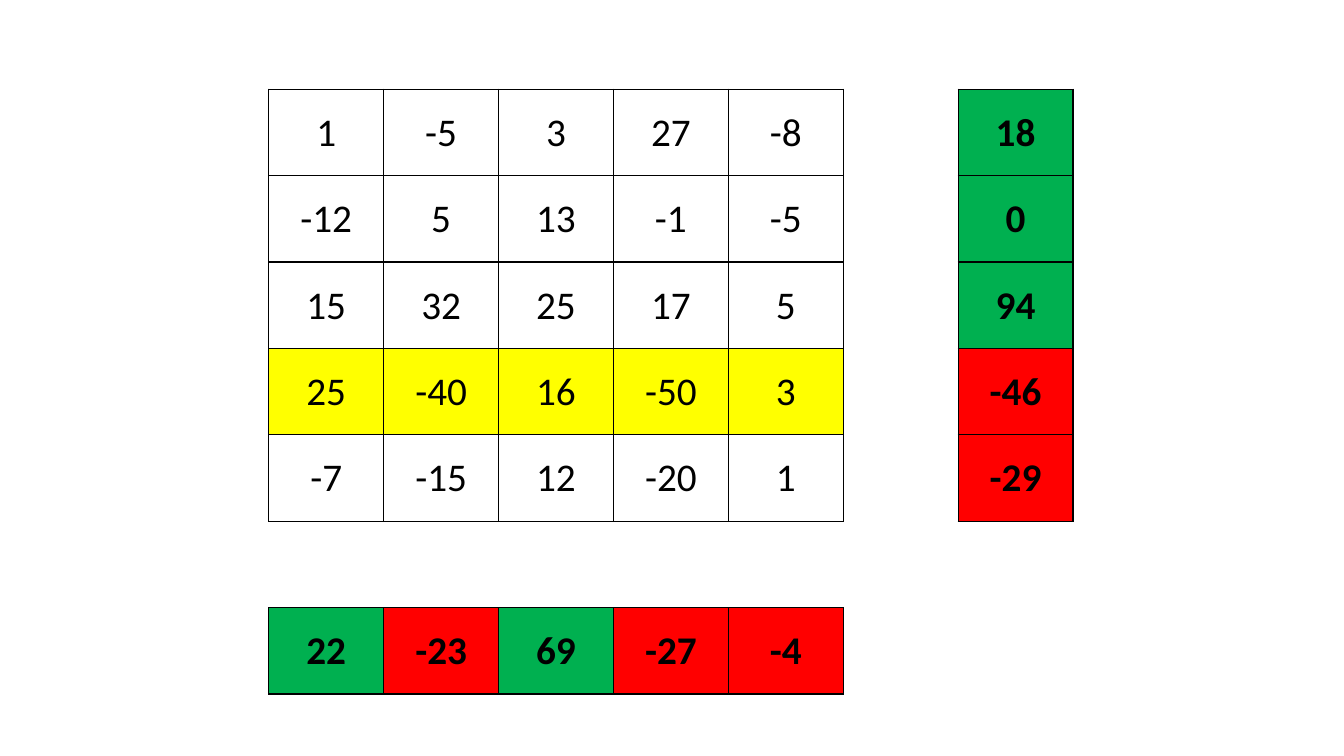
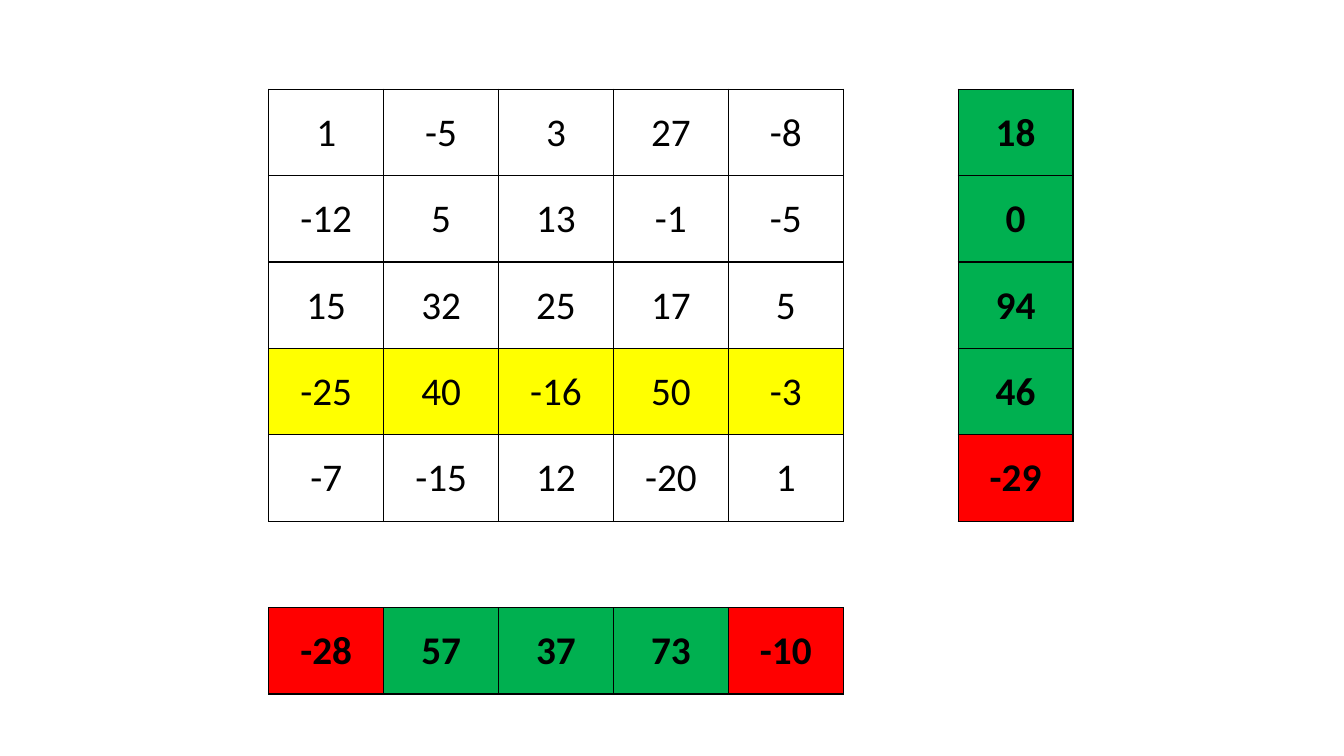
import pptx
import pptx.util
import pptx.dml.color
import pptx.enum.text
import pptx.oxml.ns
import lxml.etree

MATRIX = [
    [1, -5, 3, 27, -8],
    [-12, 5, 13, -1, -5],
    [15, 32, 25, 17, 5],
    [25, -40, 16, -50, 3],
    [-7, -15, 12, -20, 1],
]
FLIPPED_ROW = 3
SIZE = len(MATRIX)
TOTALS = SIZE + 1  # one blank row and column separate the totals
GRID = TOTALS + 1

COLORS = {
    "ink": "000000",
    "highlight": "FFFF00",
    "nonnegative": "00B050",
    "negative": "FF0000",
}
FONT = {"name": "Calibri", "size": pptx.util.Pt(28)}
EMU_PER_PX = 9525
SLIDE = (1280, 720)
TABLE = (256, 85, 766, 576)
CELL_FORMAT = {
    "vertical_anchor": pptx.enum.text.MSO_ANCHOR.MIDDLE,
    "margin_left": EMU_PER_PX,
    "margin_top": EMU_PER_PX,
    "margin_right": EMU_PER_PX,
    "margin_bottom": 0,
}
SIDES = {"lnL": (0, -1), "lnR": (0, 1), "lnT": (-1, 0), "lnB": (1, 0)}


def px(length):
    return pptx.util.Emu(length * EMU_PER_PX)


def rgb(name):
    return pptx.dml.color.RGBColor.from_string(COLORS[name])


def set_attributes(target, values):
    for name, value in values.items():
        setattr(target, name, value)


def flip_row(matrix, flipped):
    return [[-value for value in row] if index == flipped else row
            for index, row in enumerate(matrix)]


def layout_values(matrix):
    """Map (row, column) to value for the matrix and its row and column totals."""
    values = {(r, c): value for r, row in enumerate(matrix)
              for c, value in enumerate(row)}
    values.update({(r, TOTALS): sum(row) for r, row in enumerate(matrix)})
    values.update({(TOTALS, c): sum(column)
                   for c, column in enumerate(zip(*matrix))})
    return values


def fill_name(row, column, value):
    if TOTALS in (row, column):
        return "negative" if value < 0 else "nonnegative"
    return "highlight" if row == FLIPPED_ROW else None


def draw_borders(cell, row, column, values):
    """Rule every side that touches a value; leave the others blank."""
    properties = cell._tc.get_or_add_tcPr()
    qn = pptx.oxml.ns.qn
    for tag, (down, right) in SIDES.items():
        line = lxml.etree.SubElement(properties, qn("a:" + tag))
        if (row, column) in values or (row + down, column + right) in values:
            line.set("w", str(pptx.util.Pt(1)))
            fill = lxml.etree.SubElement(line, qn("a:solidFill"))
            lxml.etree.SubElement(fill, qn("a:srgbClr"), val=COLORS["ink"])
        else:
            lxml.etree.SubElement(line, qn("a:noFill"))


def write_value(cell, value, bold):
    set_attributes(cell, CELL_FORMAT)
    para = cell.text_frame.paragraphs[0]
    para.alignment = pptx.enum.text.PP_ALIGN.CENTER
    span = para.add_run()
    span.text = str(value)
    set_attributes(span.font, {**FONT, "bold": bold})
    span.font.color.rgb = rgb("ink")


def add_matrix_slide(deck, matrix):
    page = deck.slides.add_slide(deck.slide_layouts[6])
    left, top, width, height = map(px, TABLE)
    table = page.shapes.add_table(GRID, GRID, left, top, width, height).table
    set_attributes(table, {"first_row": False, "horz_banding": False})
    for column in table.columns:
        column.width = width // GRID
    for row in table.rows:
        row.height = height // GRID

    values = layout_values(matrix)
    for r in range(GRID):
        for c in range(GRID):
            cell = table.cell(r, c)
            draw_borders(cell, r, c, values)
            value = values.get((r, c))
            color = None
            if value is not None:
                write_value(cell, value, TOTALS in (r, c))
                color = fill_name(r, c, value)
            if color:
                cell.fill.solid()
                cell.fill.fore_color.rgb = rgb(color)
            else:
                cell.fill.background()


def main():
    deck = pptx.Presentation()
    deck.slide_width, deck.slide_height = map(px, SLIDE)
    for matrix in (MATRIX, flip_row(MATRIX, FLIPPED_ROW)):
        add_matrix_slide(deck, matrix)
    deck.save("out.pptx")


if __name__ == "__main__":
    main()
